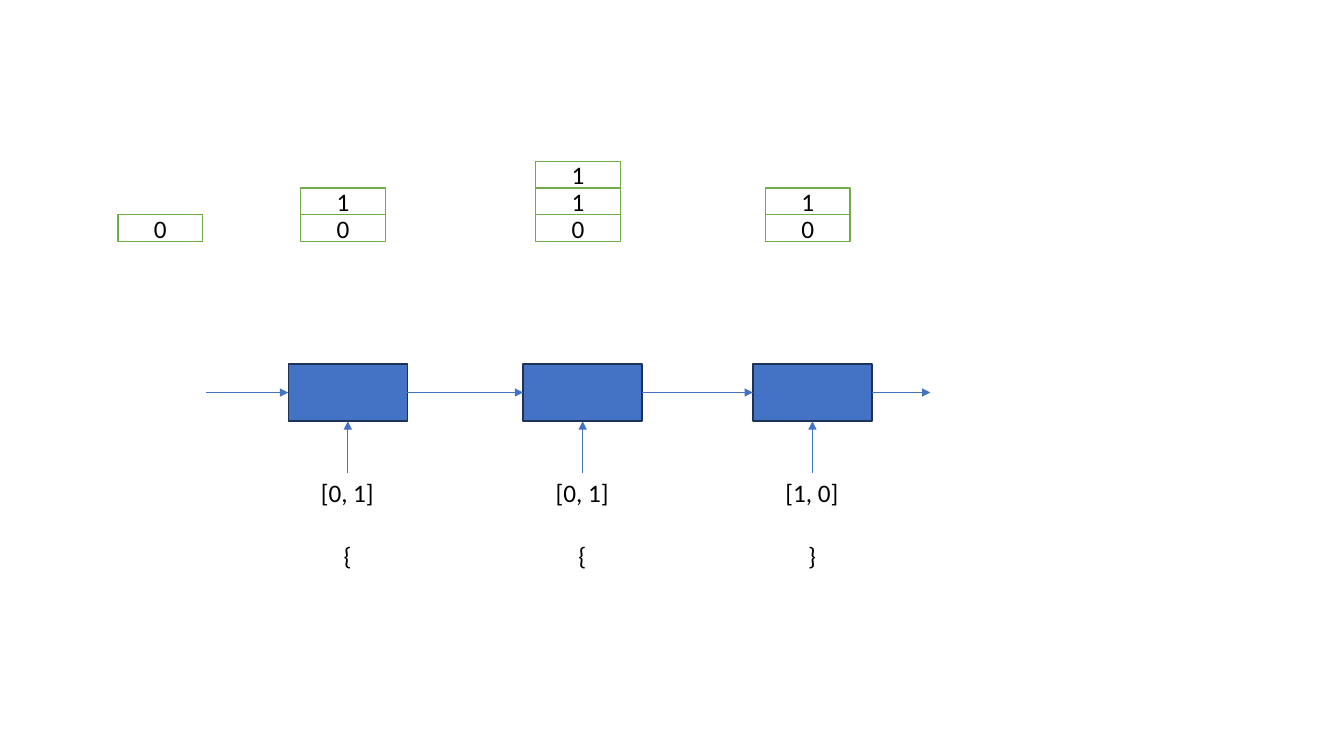
from dataclasses import dataclass

from lxml import etree
from pptx import Presentation
from pptx.dml.color import RGBColor
from pptx.enum.shapes import MSO_CONNECTOR, MSO_SHAPE
from pptx.enum.text import MSO_ANCHOR, MSO_AUTO_SIZE, PP_ALIGN
from pptx.oxml.ns import qn
from pptx.util import Pt

RECT = MSO_SHAPE.RECTANGLE
STRAIGHT = MSO_CONNECTOR.STRAIGHT
CENTER, LEFT = PP_ALIGN.CENTER, PP_ALIGN.LEFT
MIDDLE = MSO_ANCHOR.MIDDLE
FIT = MSO_AUTO_SIZE.SHAPE_TO_FIT_TEXT

BLUE, NAVY, GREEN = "4472C4", "1E3256", "70AD47"
WHITE, BLACK = "FFFFFF", "000000"

CELL_W, CELL_H, CELL_TOP = 85, 41, 259.9
CELL_MID = CELL_TOP + CELL_H / 2
CELL_END = CELL_TOP + CELL_H
ITEM_W, ITEM_H, STACK_END = 60.5, 19, 172.4
STACK_IN = 8.9
VEC_TOP, VEC_W = 337.7, 52.6
SIGN_TOP, SIGN_W = 382.2, 20.2
LABEL_H = 29


@dataclass
class Step:
    left: float
    vector: str
    sign: str
    stack: str  # bottom item first


STEPS = [
    Step(205.9, "[0, 1]", "{", "01"),
    Step(373.7, "[0, 1]", "{", "011"),
    Step(537.8, "[1, 0]", "}", "01"),
]
FLOW_START, FLOW_END = 146.9, 664.6
FIRST_STACK = 84.3

deck = Presentation()
deck.slide_width, deck.slide_height = Pt(960), Pt(540)
slide = deck.slides.add_slide(deck.slide_layouts[6])


def color(code: str) -> RGBColor:
    return RGBColor.from_string(code)


def write(frame, text: str, align) -> None:
    para = frame.paragraphs[0]
    para.alignment = align
    run = para.add_run()
    run.text = text
    run.font.name = "Calibri"
    run.font.size = Pt(18)
    run.font.color.rgb = color(BLACK)


def box(left: float, top: float, width: float, height: float,
        fill: str, line: str):
    shape = slide.shapes.add_shape(
        RECT, Pt(left), Pt(top), Pt(width), Pt(height))
    shape.shadow.inherit = False
    shape.fill.solid()
    shape.fill.fore_color.rgb = color(fill)
    shape.line.color.rgb = color(line)
    shape.line.width = Pt(1)
    return shape


def stack(left: float, items: str) -> None:
    """Pile the items upwards from the common base line."""
    for row, item in enumerate(items, 1):
        top = STACK_END - row * ITEM_H
        frame = box(left, top, ITEM_W, ITEM_H, WHITE, GREEN).text_frame
        frame.vertical_anchor = MIDDLE
        write(frame, item, CENTER)


def label(mid: float, top: float, width: float, text: str) -> None:
    area = slide.shapes.add_textbox(
        Pt(mid - width / 2), Pt(top), Pt(width), Pt(LABEL_H))
    frame = area.text_frame
    frame.word_wrap = False
    frame.auto_size = FIT
    write(frame, text, LEFT)


def arrow(x1: float, y1: float, x2: float, y2: float) -> None:
    link = slide.shapes.add_connector(
        STRAIGHT, Pt(x1), Pt(y1), Pt(x2), Pt(y2))
    link.line.color.rgb = color(BLUE)
    link.line.width = Pt(0.5)
    line = link.line._get_or_add_ln()
    etree.SubElement(line, qn("a:tailEnd"), type="triangle")
    etree.SubElement(link._element.spPr, qn("a:effectLst"))


def main() -> None:
    stack(FIRST_STACK, "0")
    start = FLOW_START
    for step in STEPS:
        mid = step.left + CELL_W / 2
        box(step.left, CELL_TOP, CELL_W, CELL_H, BLUE, NAVY)
        arrow(start, CELL_MID, step.left, CELL_MID)
        arrow(mid, VEC_TOP, mid, CELL_END)
        label(mid, VEC_TOP, VEC_W, step.vector)
        label(mid, SIGN_TOP, SIGN_W, step.sign)
        stack(step.left + STACK_IN, step.stack)
        start = step.left + CELL_W
    arrow(start, CELL_MID, FLOW_END, CELL_MID)
    deck.save("out.pptx")


if __name__ == "__main__":
    main()
